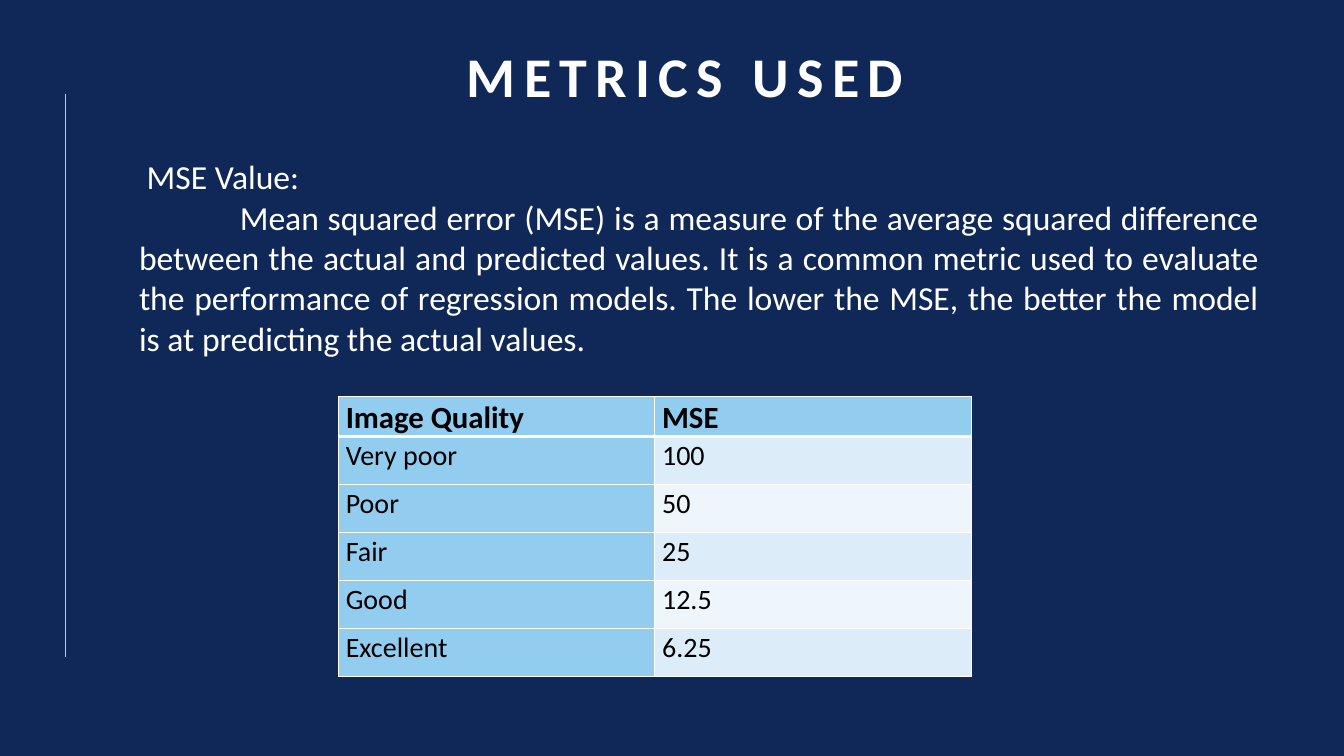
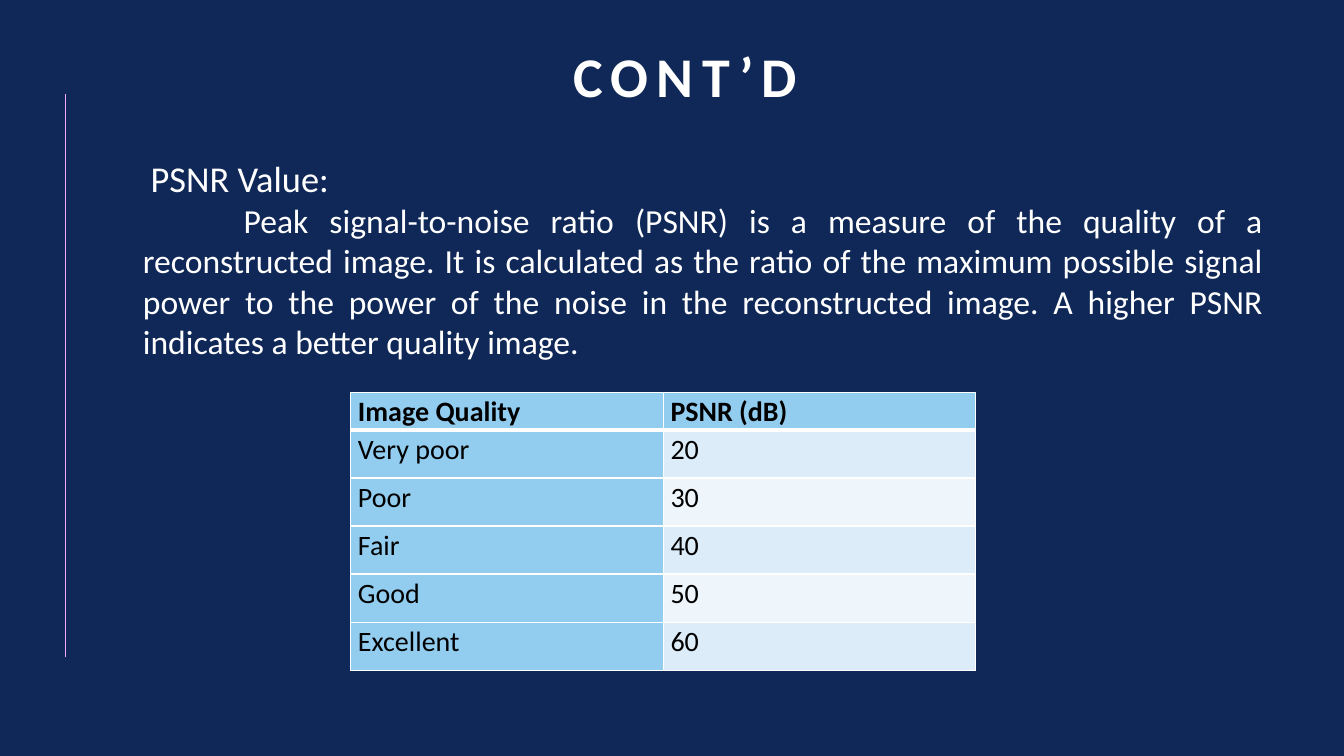
from dataclasses import dataclass

from lxml import etree
from pptx import Presentation
from pptx.dml.color import RGBColor
from pptx.enum.shapes import MSO_CONNECTOR
from pptx.enum.text import MSO_ANCHOR, MSO_AUTO_SIZE, PP_ALIGN
from pptx.oxml.ns import qn
from pptx.util import Pt

STRAIGHT = MSO_CONNECTOR.STRAIGHT
MIDDLE, TOP = MSO_ANCHOR.MIDDLE, MSO_ANCHOR.TOP
FIXED, GROW = MSO_AUTO_SIZE.NONE, MSO_AUTO_SIZE.SHAPE_TO_FIT_TEXT
LEFT, CENTER, JUSTIFY = PP_ALIGN.LEFT, PP_ALIGN.CENTER, PP_ALIGN.JUSTIFY


@dataclass(frozen=True)
class Theme:
    font: str = "Calibri"
    background: str = "102857"
    light: str = "FFFFFF"
    dark: str = "000000"
    rule: str = "F6A6F4"
    label_fill: str = "92CDF0"
    value_fills: tuple = ("DCEDF9", "EEF6FC")
    title_size: int = 40
    body_size: int = 24
    cell_size: int = 20


THEME = Theme()


def write(paragraph, text, size, color=THEME.light, bold=False, align=LEFT,
          line_spacing=1.0, space_after=0, indent=0, tracking=0):
    paragraph.alignment = align
    paragraph.line_spacing = line_spacing
    paragraph.space_before = Pt(0)
    paragraph.space_after = Pt(space_after)
    paragraph._p.get_or_add_pPr().set("indent", str(Pt(indent)))
    run = paragraph.add_run()
    run.text = text
    run.font.name = THEME.font
    run.font.size = Pt(size)
    run.font.bold = bold
    run.font.color.rgb = RGBColor.from_string(color)
    if tracking:
        run.font._element.set("spc", str(tracking * 100))


def border(cell, bottom_width):
    properties = cell._tc.get_or_add_tcPr()
    for side, width in (("L", 1), ("R", 1), ("T", 1), ("B", bottom_width)):
        edge = etree.SubElement(properties, qn(f"a:ln{side}"), w=str(Pt(width)))
        fill = etree.SubElement(edge, qn("a:solidFill"))
        etree.SubElement(fill, qn("a:srgbClr"), val=THEME.light)


QUALITIES = ("Very poor", "Poor", "Fair", "Good", "Excellent")
ROW_HEIGHT = 34.3

metrics = [
    {
        "title": "METRICS USED",
        "heading": "MSE Value:",
        "heading_size": 24,
        "definition": "Mean squared error (MSE) is a measure of the average squared "
                      "difference between the actual and predicted values. It is a common "
                      "metric used to evaluate the performance of regression models. The "
                      "lower the MSE, the better the model is at predicting the actual values.",
        "body_left": 92.2,
        "column": "MSE",
        "values": ("100", "50", "25", "12.5", "6.25"),
        "table_at": (241.8, 283),
        "column_width": 226,
        "header_size": 22,
        "header_height": 28.8,
    },
    {
        "title": "CONT’D",
        "heading": "PSNR Value:",
        "heading_size": 26,
        "definition": "Peak signal-to-noise ratio (PSNR) is a measure of the quality of a "
                      "reconstructed image. It is calculated as the ratio of the maximum "
                      "possible signal power to the power of the noise in the reconstructed "
                      "image. A higher PSNR indicates a better quality image.",
        "body_left": 95,
        "column": "PSNR (dB)",
        "values": ("20", "30", "40", "50", "60"),
        "table_at": (250.5, 280.5),
        "column_width": 223.3,
        "header_size": 20,
        "header_height": 26.7,
    },
]

prs = Presentation()
prs.slide_width, prs.slide_height = Pt(960), Pt(540)
backdrop = prs.slide_master.background.fill
backdrop.solid()
backdrop.fore_color.rgb = RGBColor.from_string(THEME.background)
title_only = prs.slide_layouts[5]

for metric in metrics:
    slide = prs.slides.add_slide(title_only)

    side_rule = slide.shapes.add_connector(STRAIGHT, Pt(46.8), Pt(67), Pt(46.8), Pt(469.4))
    side_rule.line.color.rgb = RGBColor.from_string(THEME.rule)
    side_rule.line.width = Pt(0.5)
    etree.SubElement(side_rule._element.spPr, qn("a:effectLst"))

    title = slide.shapes.title
    title.left, title.top, title.width, title.height = Pt(61.2), Pt(14.4), Pt(856.8), Pt(84.2)
    title.text_frame.auto_size = FIXED
    title.text_frame.vertical_anchor = MIDDLE
    write(title.text_frame.paragraphs[0], metric["title"], THEME.title_size, bold=True,
          align=CENTER, line_spacing=0.9, tracking=6)

    body = slide.shapes.add_textbox(Pt(metric["body_left"]), Pt(108), Pt(814.3), Pt(156))
    explanation = body.text_frame
    explanation.word_wrap = True
    explanation.auto_size = GROW
    write(explanation.paragraphs[0], metric["heading"], metric["heading_size"],
          align=JUSTIFY, indent=5.5)
    write(explanation.add_paragraph(), metric["definition"], THEME.body_size,
          align=JUSTIFY, indent=72)

    rows = [("Image Quality", metric["column"]), *zip(QUALITIES, metric["values"])]
    left, top = metric["table_at"]
    height = metric["header_height"] + ROW_HEIGHT * len(QUALITIES)
    scale = slide.shapes.add_table(len(rows), 2, Pt(left), Pt(top),
                                   Pt(2 * metric["column_width"]), Pt(height)).table
    scale.first_row = scale.horz_banding = False
    for column in scale.columns:
        column.width = Pt(metric["column_width"])

    for r, row in enumerate(rows):
        is_header = r == 0
        scale.rows[r].height = Pt(metric["header_height"] if is_header else ROW_HEIGHT)
        for c, text in enumerate(row):
            cell = scale.cell(r, c)
            cell.margin_left = cell.margin_right = Pt(5.2)
            cell.margin_top = cell.margin_bottom = Pt(0)
            cell.vertical_anchor = TOP
            border(cell, 3 if is_header else 1)
            is_label = is_header or c == 0
            fill = THEME.label_fill if is_label else THEME.value_fills[(r - 1) % 2]
            cell.fill.solid()
            cell.fill.fore_color.rgb = RGBColor.from_string(fill)
            write(cell.text_frame.paragraphs[0], text,
                  metric["header_size"] if is_header else THEME.cell_size,
                  color=THEME.dark, bold=is_header, line_spacing=1.07, space_after=8)

prs.save("out.pptx")
